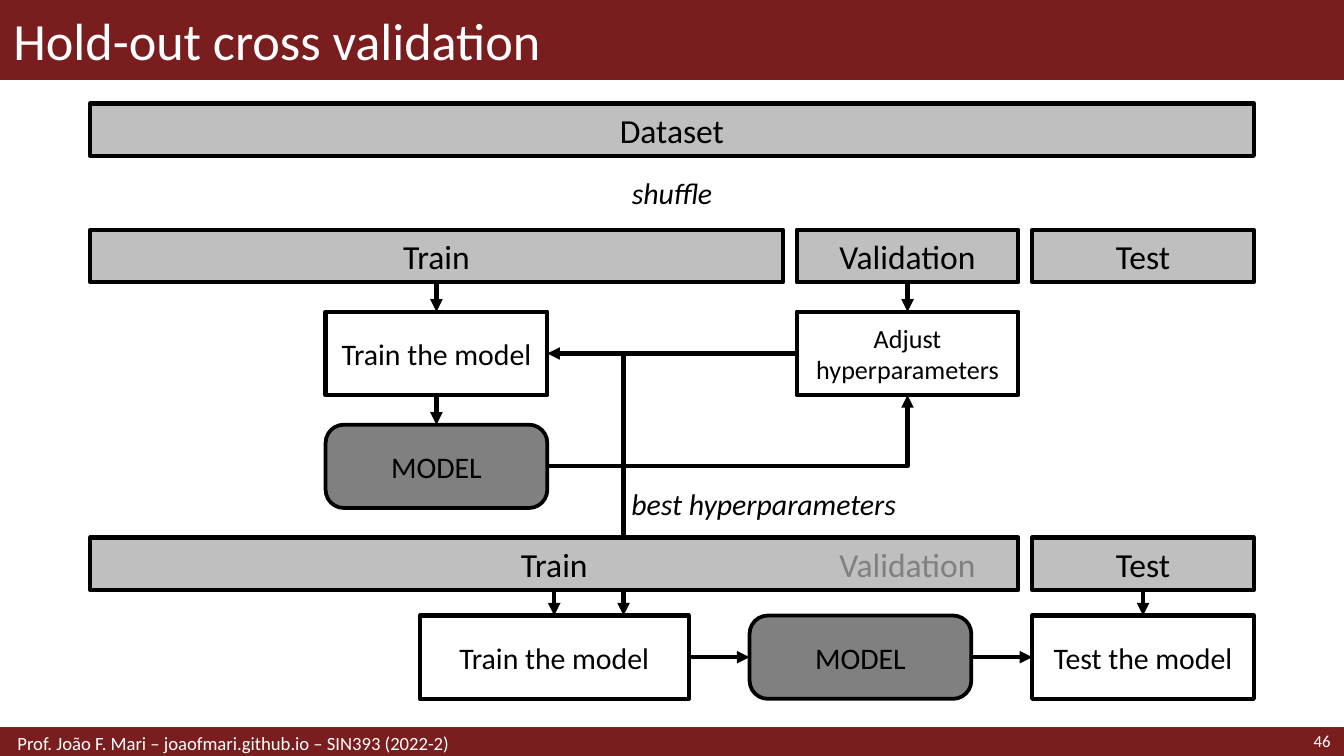
from lxml.etree import SubElement
from pptx import Presentation
from pptx.dml.color import RGBColor
from pptx.enum.shapes import MSO_CONNECTOR as CONNECTOR, MSO_SHAPE as SHAPE
from pptx.enum.text import MSO_ANCHOR as ANCHOR, PP_ALIGN as ALIGN
from pptx.oxml.ns import qn
from pptx.util import Inches, Pt

WIDTH = 10
HEIGHT = WIDTH * 9 / 16
FONT = "Calibri"
MAROON, BLACK, WHITE = "791D1F", "000000", "FFFFFF"
LIGHT_GRAY, DARK_GRAY = "BFBFBF", "808080"

TITLE = "Hold-out cross validation"
FOOTER = "Prof. João F. Mari – joaofmari.github.io – SIN393 (2022-2)"
PAGE = "46"

# Five columns between the margins; fractions of a column are allowed.
MARGIN, COLUMN = 0.67, 1.65
PITCH = (WIDTH - 2 * MARGIN - COLUMN) / 4
ROWS = {"dataset": 0.77, "split": 1.71, "tune": 2.32,
        "model": 3.16, "merged": 4.0, "final": 4.58}

# Style: height, fill, text size, line width, preset shape
STYLES = {
    "bar": (0.39, LIGHT_GRAY, 18, 2.25, SHAPE.RECTANGLE),
    "step": (0.62, WHITE, 16, 2.25, SHAPE.RECTANGLE),
    "model": (0.62, DARK_GRAY, 16, 2, SHAPE.ROUNDED_RECTANGLE),
}

# Name: text, style, row, column, columns spanned
BOXES = {
    "dataset": ("Dataset", "bar", "dataset", 0, 5),
    "train": ("Train", "bar", "split", 0, 3),
    "validation": ("Validation", "bar", "split", 3, 1),
    "test": ("Test", "bar", "split", 4, 1),
    "fit": ("Train the model", "step", "tune", 1, 1),
    "adjust": ("Adjust hyperparameters", "step", "tune", 3, 1),
    "model": ("MODEL", "model", "model", 1, 1),
    "merged train": ("Train", "bar", "merged", 0, 4),
    "final test": ("Test", "bar", "merged", 4, 1),
    "refit": ("Train the model", "step", "final", 1.4, 1.2),
    "final model": ("MODEL", "model", "final", 2.8, 1),
    "evaluate": ("Test the model", "step", "final", 4, 1),
}
TEXT_SIZES = {"adjust": 14}

# Connection sites of a rectangle
TOP, LEFT, BOTTOM, RIGHT = range(4)
ARROWS = [
    ("train", BOTTOM, "fit", TOP),
    ("validation", BOTTOM, "adjust", TOP),
    ("adjust", LEFT, "fit", RIGHT),
    ("fit", BOTTOM, "model", TOP),
    ("model", RIGHT, "adjust", BOTTOM),
    ("merged train", BOTTOM, "refit", TOP),
    ("final test", BOTTOM, "evaluate", TOP),
    ("refit", RIGHT, "final model", LEFT),
    ("final model", RIGHT, "evaluate", LEFT),
]
BEST_X = 4.64


def color(hex_string):
    return RGBColor.from_string(hex_string)


def column_left(column):
    return MARGIN + column * PITCH


def span_width(columns):
    return COLUMN + (columns - 1) * PITCH


def write(shape, text, size, text_color=BLACK, align=ALIGN.CENTER,
          italic=False, inset=0.1, wrap=True):
    frame = shape.text_frame
    frame.word_wrap = wrap
    frame.vertical_anchor = ANCHOR.MIDDLE
    frame.margin_left = frame.margin_right = Inches(inset)
    frame.margin_top = frame.margin_bottom = 0
    frame.text = text
    paragraph = frame.paragraphs[0]
    paragraph.alignment = align
    font = paragraph.runs[0].font
    font.name, font.size, font.italic = FONT, Pt(size), italic
    font.color.rgb = color(text_color)


def paint(shape, fill, line, width):
    shape.fill.solid()
    shape.fill.fore_color.rgb = color(fill)
    shape.line.color.rgb = color(line)
    shape.line.width = Pt(width)


def add_box(slide, kind, area, fill, line, width):
    shape = slide.shapes.add_shape(kind, *map(Inches, area))
    shape.shadow.inherit = False
    paint(shape, fill, line, width)
    return shape


def add_label(slide, area, text, size, **text_format):
    write(slide.shapes.add_textbox(*map(Inches, area)), text, size, **text_format)


def add_arrow(slide, bent, points=(0, 0, 0, 0)):
    """Add a black arrow; a bent one runs across first, then up or down."""
    kind = CONNECTOR.ELBOW if bent else CONNECTOR.STRAIGHT
    arrow = slide.shapes.add_connector(kind, *map(Inches, points))
    arrow.line.color.rgb = color(BLACK)
    arrow.line.width = Pt(2.25)
    properties = arrow._element.spPr
    if bent:
        properties.find(qn("a:prstGeom")).set("prst", "bentConnector2")
    SubElement(properties.find(qn("a:ln")), qn("a:tailEnd"), type="triangle")
    SubElement(properties, qn("a:effectLst"))
    return arrow


def add_frame(slide):
    title = slide.shapes.title
    title.left, title.top, title.width, title.height = map(Inches, (0, 0, WIDTH, 0.59))
    paint(title, MAROON, MAROON, 1)
    write(title, TITLE, 28, text_color=WHITE, align=ALIGN.LEFT)
    add_box(slide, SHAPE.RECTANGLE, (0, 5.42, WIDTH, 0.21), MAROON, MAROON, 2)
    add_label(slide, (0, 5.42, 6.89, 0.21), FOOTER, 10,
              text_color=WHITE, align=ALIGN.LEFT, inset=0.13)
    add_label(slide, (8.86, 5.41, 1.14, 0.21), PAGE, 9,
              text_color=WHITE, align=ALIGN.RIGHT)


def add_diagram(slide):
    # Drawn first, so that the merged training bar covers part of it.
    adjust_middle = ROWS["tune"] + STYLES["step"][0] / 2
    add_arrow(slide, True, (column_left(3), adjust_middle, BEST_X, ROWS["final"]))

    boxes = {}
    for name, (text, style, row, column, columns) in BOXES.items():
        height, fill, size, line_width, kind = STYLES[style]
        area = column_left(column), ROWS[row], span_width(columns), height
        box = add_box(slide, kind, area, fill, BLACK, line_width)
        if style == "model":
            box.adjustments[0] = 0.22
        write(box, text, TEXT_SIZES.get(name, size), inset=0.05)
        boxes[name] = box

    for start, start_site, end, end_site in ARROWS:
        bent = (start_site, end_site) == (RIGHT, BOTTOM)
        arrow = add_arrow(slide, bent)
        arrow.begin_connect(boxes[start], start_site)
        arrow.end_connect(boxes[end], end_site)

    add_label(slide, (column_left(3), ROWS["merged"], COLUMN, 0.39),
              "Validation", 18, text_color=DARK_GRAY)
    add_label(slide, (4.59, 1.25, 0.82, 0.37), "shuffle", 16, italic=True, wrap=False)
    add_label(slide, (4.6, 3.56, 2.2, 0.37), "best hyperparameters", 16,
              align=ALIGN.LEFT, italic=True, wrap=False)


def main():
    presentation = Presentation()
    presentation.slide_width = Inches(WIDTH)
    presentation.slide_height = Inches(HEIGHT)
    slide = presentation.slides.add_slide(presentation.slide_layouts[5])
    add_frame(slide)
    add_diagram(slide)
    presentation.save("out.pptx")


if __name__ == "__main__":
    main()
